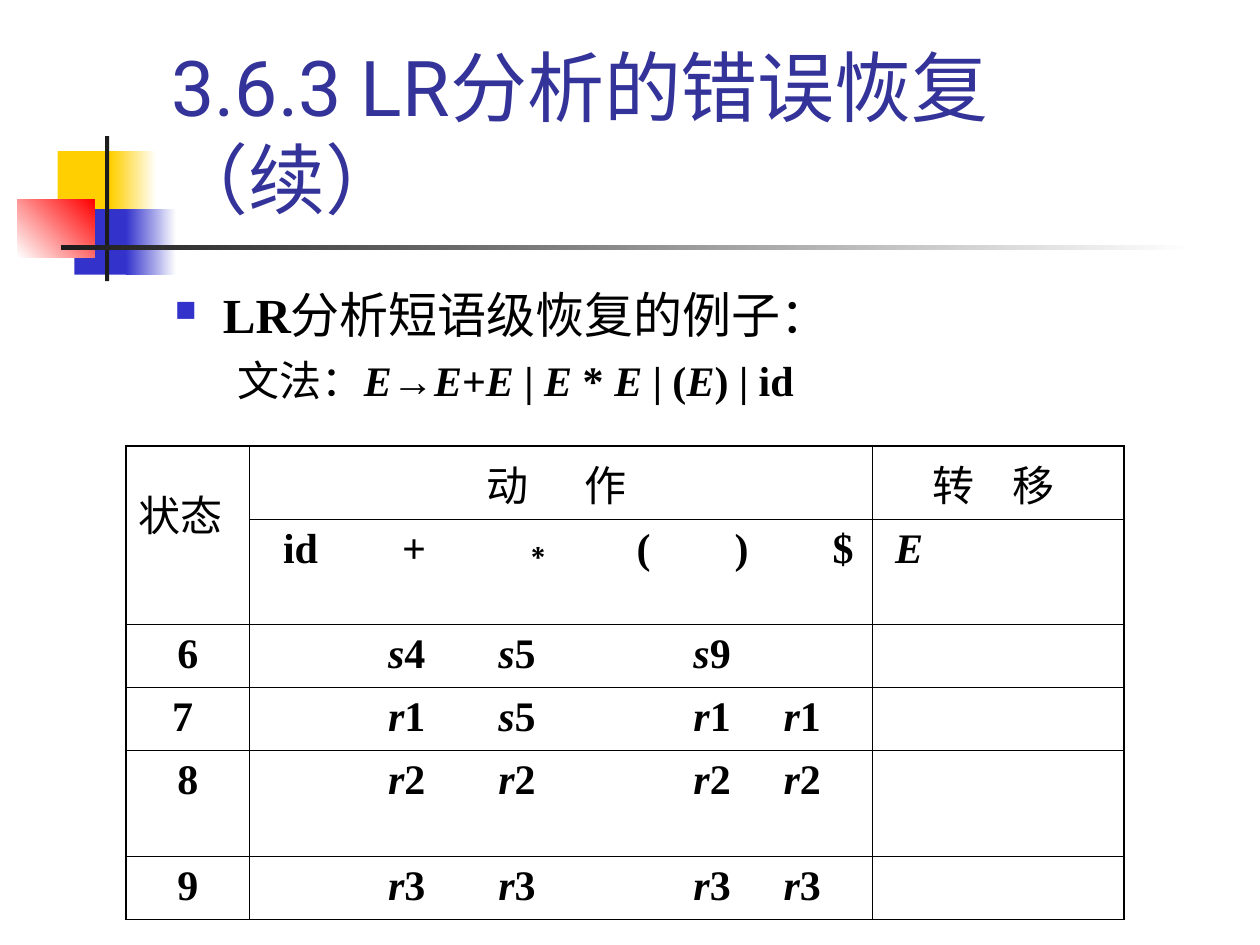
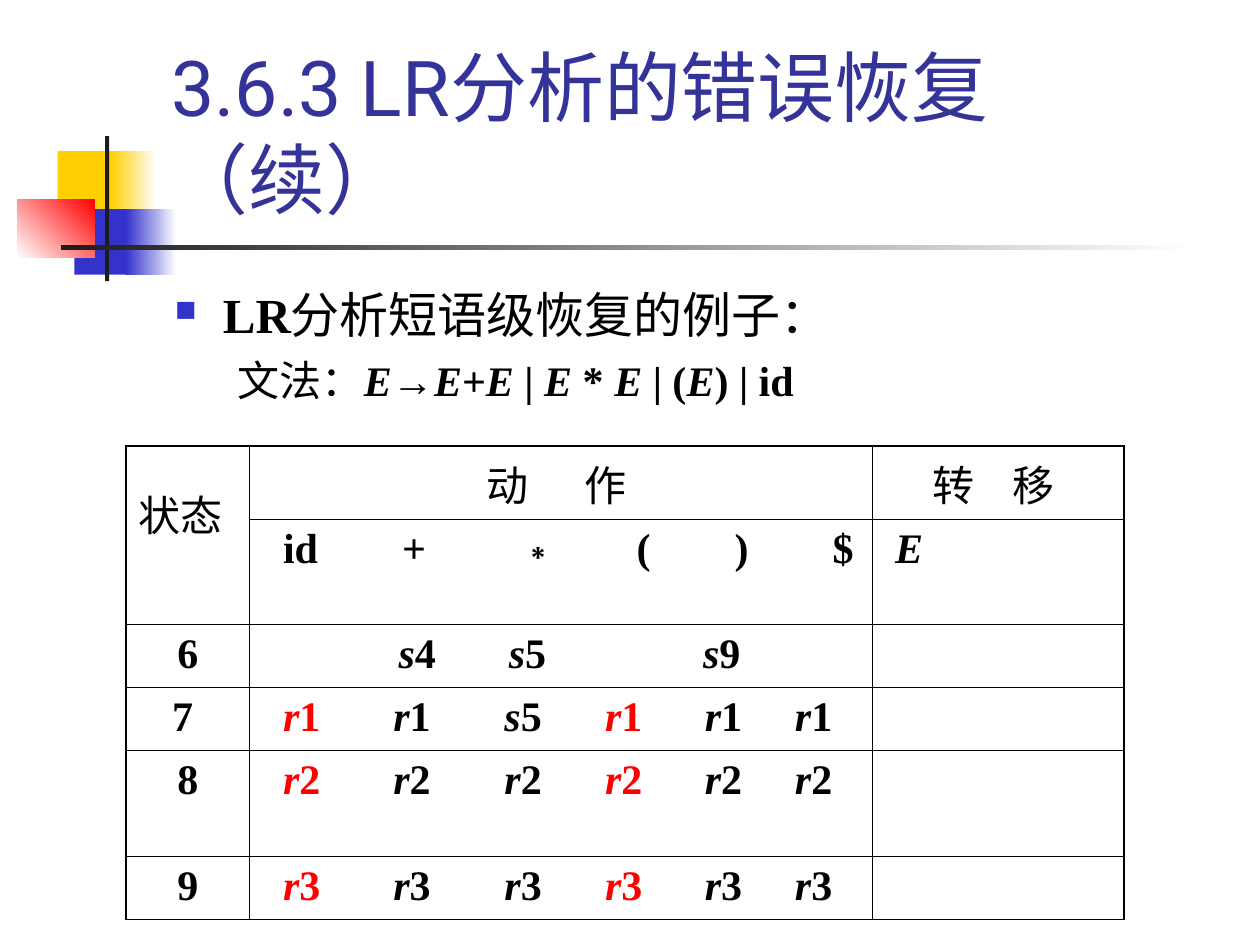
from lxml import etree
from pptx import Presentation
from pptx import oxml
from pptx.dml.color import RGBColor
from pptx.enum import shapes, text
from pptx.oxml import ns
from pptx.util import Pt

BLACK = RGBColor(0x00, 0x00, 0x00)
WHITE = RGBColor(0xFF, 0xFF, 0xFF)
YELLOW = RGBColor(0xFF, 0xCF, 0x01)
BLUE = RGBColor(0x33, 0x33, 0xCC)
RED = RGBColor(0xFF, 0x00, 0x00)
CHARCOAL = RGBColor(0x1C, 0x1C, 0x1C)
TITLE_BLUE = RGBColor(0x33, 0x33, 0x99)

SERIF, SANS, TITLE_FONT, CJK = "Times New Roman", "Arial", "Roboto", "Noto Sans CJK SC"
TITLE = "3.6.3 LR分析的错误恢复（续）"
GRAMMAR = [("E", SERIF, True), ("→", SANS, False), ("E", SERIF, True),
           ("+", SERIF, False), ("E", SERIF, True), (" | ", SERIF, False),
           ("E", SERIF, True), (" * ", SERIF, False), ("E", SERIF, True),
           (" | (", SERIF, False), ("E", SERIF, True), (") | id", SERIF, False)]

# left, top, width, height, start colour, end colour (None: solid), angle
DECORATION = [
    (33, 86.4, 34.6, 37.4, YELLOW, None, 0),
    (63.4, 86.4, 25.9, 37.4, YELLOW, WHITE, 0),
    (42.5, 119.5, 33.1, 37.4, BLUE, None, 0),
    (72, 119.5, 28.8, 37.4, BLUE, WHITE, 0),
    (10, 113.8, 44, 33.1, WHITE, RED, 45),
    (60, 77.8, 2.4, 82.8, CHARCOAL, None, 0),
    (34.6, 140.2, 648, 2.4, CHARCOAL, WHITE, 0),
]

COLUMN_WIDTHS = (70.6, 355.7, 144)
ROW_HEIGHTS = (42, 60, 33.8, 33.8, 60.5, 33.8)
THIN, THICK = 0.45, 1.08
SYMBOLS = ("id", "+", "∗", "(", ")", "$")
SYMBOL_STOPS = (12, 80, 146, 214, 270, 326)
STATES = ("6", "7 ", "8", "9")

PARTIAL_STOPS = (12, 72, 135, 190, 246.5, 298)
PARTIAL_ACTIONS = [("", "s4", "s5", "", "s9", ""), ("", "r1", "s5", "", "r1", "r1"),
                   ("", "r2", "r2", "", "r2", "r2"), ("", "r3", "r3", "", "r3", "r3")]
FULL_STOPS = (12, 75, 138.5, 196, 253, 304.5)
SHIFT_STOPS = (12, 78, 141, 196, 252, 304.5)
FULL_ACTIONS = [("", "s4", "s5", "", "s9", ""), ("r1", "r1", "s5", "r1", "r1", "r1"),
                ("r2", "r2", "r2", "r2", "r2", "r2"), ("r3", "r3", "r3", "r3", "r3", "r3")]
RECOVERY_COLUMNS = (0, 3)


def format_run(run, size, font=SERIF, color=BLACK, bold=False, italic=False):
    run.font.size, run.font.name = Pt(size), font
    run.font.bold, run.font.italic = bold, italic
    run.font.color.rgb = color
    latin = run.font._element.find(ns.qn("a:latin"))
    east_asian = etree.Element(ns.qn("a:ea"), typeface=CJK)
    latin.addnext(east_asian)


def add_run(paragraph, words, size=24, **style):
    run = paragraph.add_run()
    run.text = words
    format_run(run, size, **style)


def add_tab_stops(paragraph, stops):
    tab_list = etree.SubElement(paragraph._p.get_or_add_pPr(), ns.qn("a:tabLst"))
    for stop in stops:
        etree.SubElement(tab_list, ns.qn("a:tab"), pos=str(Pt(stop)), algn="l")


def add_tabbed_words(paragraph, words, stops, **style):
    add_tab_stops(paragraph, stops)
    for word in words:
        add_run(paragraph, "\t" + word, **style)


def add_decoration(slide):
    for left, top, width, height, start, end, angle in DECORATION:
        shape = slide.shapes.add_shape(shapes.MSO_SHAPE.RECTANGLE, Pt(left), Pt(top),
                                       Pt(width), Pt(height))
        shape.shadow.inherit = False
        shape.line.fill.background()
        if end is None:
            shape.fill.solid()
            shape.fill.fore_color.rgb = start
        else:
            shape.fill.gradient()
            shape.fill.gradient_angle = angle
            for stop, color in zip(shape.fill.gradient_stops, (start, end)):
                stop.color.rgb = color


def format_title(slide):
    title = slide.shapes.title
    title.left, title.top, title.width, title.height = Pt(90.7), Pt(16.6), Pt(613.4), Pt(115.2)
    frame = title.text_frame
    frame.text = TITLE
    frame.auto_size = text.MSO_AUTO_SIZE.NONE
    frame.vertical_anchor = text.MSO_ANCHOR.BOTTOM
    frame.paragraphs[0].alignment = text.PP_ALIGN.LEFT
    format_run(frame.paragraphs[0].runs[0], 44, font=TITLE_FONT, color=TITLE_BLUE)


def set_indent(paragraph, margin, indent, bullet_xml):
    properties = paragraph._p.get_or_add_pPr()
    properties.set("marL", str(Pt(margin)))
    properties.set("indent", str(Pt(indent)))
    for xml in bullet_xml:
        properties.append(oxml.parse_xml(xml.replace("/>", f" {ns.nsdecls('a')}/>", 1)
                                         if xml.endswith("/>") and "><" not in xml else
                                         xml.replace(">", f" {ns.nsdecls('a')}>", 1)))


def add_grammar_text(slide):
    box = slide.shapes.add_textbox(Pt(92.9), Pt(159.1), Pt(596.9), Pt(90))
    frame = box.text_frame
    frame.word_wrap = True
    heading = frame.paragraphs[0]
    set_indent(heading, 27.4, -27.4, [f'<a:buClr><a:srgbClr val="{BLUE}"/></a:buClr>',
                                      '<a:buSzPct val="60000"/>', '<a:buChar char="■"/>'])
    add_run(heading, "LR", 28, bold=True)
    add_run(heading, "分析短语级恢复的例子：", 28)

    grammar = frame.add_paragraph()
    grammar.space_before = Pt(6)
    set_indent(grammar, 58.3, -22.3, ["<a:buNone/>"])
    add_run(grammar, "文法：")
    for words, font, italic in GRAMMAR:
        add_run(grammar, words, font=font, bold=True, italic=italic)


def set_borders(cell, widths):
    properties = cell._tc.get_or_add_tcPr()
    for side, width in zip("LRTB", widths):
        line = etree.SubElement(properties, ns.qn(f"a:ln{side}"), w=str(Pt(width)))
        fill = etree.SubElement(line, ns.qn("a:solidFill"))
        etree.SubElement(fill, ns.qn("a:srgbClr"), val=str(BLACK))


def fill_header(table):
    state = table.cell(0, 0).text_frame.paragraphs[0]
    state.line_spacing = 1.5
    add_run(state, "状态")
    for column, words, stops in ((1, "动作", (128, 184)), (2, "转移", (27.5, 73))):
        paragraph = table.cell(0, column).text_frame.paragraphs[0]
        add_tabbed_words(paragraph, words, stops, font=CJK)
    symbols = table.cell(1, 1).text_frame.paragraphs[0]
    add_tab_stops(symbols, SYMBOL_STOPS)
    for symbol in SYMBOLS:
        add_run(symbols, "\t" + symbol, font=SANS if symbol == "∗" else SERIF, bold=True)
    add_tabbed_words(table.cell(1, 2).text_frame.paragraphs[0], "E", (6,),
                     bold=True, italic=True)


def fill_actions(cell, actions, stops, red_columns):
    paragraph = cell.text_frame.paragraphs[0]
    add_tab_stops(paragraph, stops)
    tabs = ""
    for column, action in enumerate(actions):
        tabs += "\t"
        if action:
            color = RED if column in red_columns else BLACK
            add_run(paragraph, tabs + action[0], color=color, bold=True, italic=True)
            add_run(paragraph, action[1:], color=color, bold=True)
            tabs = ""


def add_parsing_table(slide, action_rows, stop_rows, red_columns):
    rows, columns = len(ROW_HEIGHTS), len(COLUMN_WIDTHS)
    table = slide.shapes.add_table(rows, columns, Pt(72), Pt(254.9), Pt(sum(COLUMN_WIDTHS)),
                                   Pt(sum(ROW_HEIGHTS))).table
    table.first_row = table.horz_banding = False
    for column, width in zip(table.columns, COLUMN_WIDTHS):
        column.width = Pt(width)
    for row, height in zip(table.rows, ROW_HEIGHTS):
        row.height = Pt(height)
    for row in range(rows):
        for column in range(columns):
            cell = table.cell(row, column)
            outer = (column == 0, column == columns - 1, row == 0, row == rows - 1)
            set_borders(cell, [THICK if edge else THIN for edge in outer])
            cell.fill.background()
    table.cell(0, 0).merge(table.cell(1, 0))

    fill_header(table)
    for row, (state, actions, stops) in enumerate(zip(STATES, action_rows, stop_rows), 2):
        paragraph = table.cell(row, 0).text_frame.paragraphs[0]
        paragraph.alignment = text.PP_ALIGN.CENTER
        add_run(paragraph, state, bold=True)
        fill_actions(table.cell(row, 1), actions, stops, red_columns)


def add_recovery_slide(presentation, action_rows, stop_rows, red_columns=()):
    slide = presentation.slides.add_slide(presentation.slide_layouts[5])
    add_decoration(slide)
    format_title(slide)
    add_grammar_text(slide)
    add_parsing_table(slide, action_rows, stop_rows, red_columns)


def main():
    presentation = Presentation()
    presentation.slide_width, presentation.slide_height = Pt(720), Pt(540)
    add_recovery_slide(presentation, PARTIAL_ACTIONS, [PARTIAL_STOPS] * 4)
    add_recovery_slide(presentation, FULL_ACTIONS, [SHIFT_STOPS] + [FULL_STOPS] * 3,
                       RECOVERY_COLUMNS)
    presentation.save("out.pptx")


if __name__ == "__main__":
    main()
